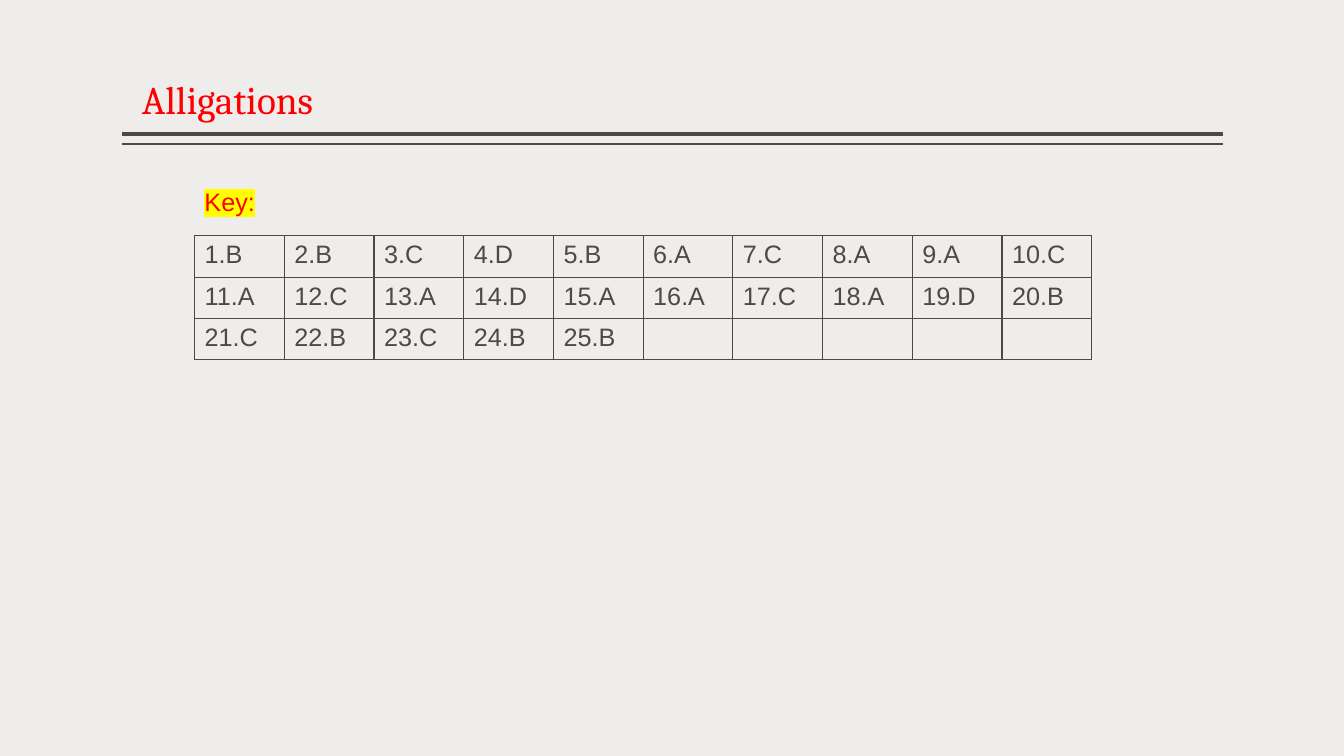
"""Build the Alligations answer key slide."""
from dataclasses import dataclass

from lxml import etree
from pptx import Presentation
from pptx.dml.color import RGBColor
from pptx.enum import shapes, text
from pptx.oxml import ns
from pptx.util import Inches, Pt

INK = "514843"
RED = "FF0000"
PAPER = "EEEDEC"
YELLOW = "FFFF00"
ANSWERS = "BBCDBACAAC" "ACADAACADB" "CBCBB"
COLUMNS, ROWS = 10, 3
COLUMN_WIDTH, ROW_HEIGHT = 0.89, 0.41


@dataclass
class Label:
    wording: str
    left: float
    top: float
    width: float
    height: float
    size: int
    face: str
    highlight: str = ""


@dataclass
class Rule:
    top: float
    weight: float


LABELS = [
    Label("Key:", 1.93, 1.8, 1.4, 0.4, 18, "Arial", YELLOW),
    Label("Alligations", 1.31, 0.7, 6.06, 0.57, 28, "Cambria"),
]
RULES = [Rule(1.33, 3), Rule(1.43, 1)]


def color(value: str) -> RGBColor:
    return RGBColor.from_string(value)


def add_element(parent, tag: str, **attributes: str):
    return etree.SubElement(parent, ns.qn(tag), attributes)


def write(paragraph, wording: str, size: int, face: str, ink: str):
    run = paragraph.add_run()
    run.text = wording
    for name, value in {"size": Pt(size), "name": face}.items():
        setattr(run.font, name, value)
    run.font.color.rgb = color(ink)
    return run


def draw_rule(slide, rule: Rule) -> None:
    line = slide.shapes.add_connector(
        shapes.MSO_CONNECTOR.STRAIGHT,
        Inches(12.13), Inches(rule.top), Inches(1.21), Inches(rule.top))
    line.line.color.rgb = color(INK)
    line.line.width = Pt(rule.weight)
    add_element(line._element.spPr, "a:effectLst")


def draw_label(slide, label: Label) -> None:
    box = slide.shapes.add_textbox(
        Inches(label.left), Inches(label.top),
        Inches(label.width), Inches(label.height))
    frame = box.text_frame
    settings = {"word_wrap": True, "auto_size": text.MSO_AUTO_SIZE.SHAPE_TO_FIT_TEXT}
    for name, value in settings.items():
        setattr(frame, name, value)
    run = write(frame.paragraphs[0], label.wording, label.size, label.face, RED)
    if label.highlight:
        properties = run.font._element
        marker = add_element(properties, "a:highlight")
        add_element(marker, "a:srgbClr", val=label.highlight)
        properties.find(ns.qn("a:solidFill")).addnext(marker)


def outline(cell) -> None:
    properties = cell._tc.get_or_add_tcPr()
    for side in ("a:lnL", "a:lnR", "a:lnT", "a:lnB"):
        border = add_element(properties, side, w=str(Pt(1)))
        add_element(add_element(border, "a:solidFill"), "a:srgbClr", val=INK)


def draw_answers(slide) -> None:
    key = slide.shapes.add_table(
        ROWS, COLUMNS, Inches(1.93), Inches(2.34),
        Inches(COLUMN_WIDTH * COLUMNS), Inches(ROW_HEIGHT * ROWS)).table
    for name in ("first_row", "horz_banding"):
        setattr(key, name, False)
    for column in key.columns:
        column.width = Inches(COLUMN_WIDTH)
    for row in key.rows:
        row.height = Inches(ROW_HEIGHT)
    for index, cell in enumerate(key.iter_cells()):
        outline(cell)
        cell.fill.background()
        if index < len(ANSWERS):
            write(cell.text_frame.paragraphs[0],
                  f"{index + 1}.{ANSWERS[index]}", 18, "Arial", INK)


def main() -> None:
    deck = Presentation()
    deck.slide_width, deck.slide_height = Inches(13.33), Inches(7.5)
    slide = deck.slides.add_slide(deck.slide_layouts[6])
    slide.background.fill.solid()
    slide.background.fill.fore_color.rgb = color(PAPER)
    for rule in RULES:
        draw_rule(slide, rule)
    draw_answers(slide)
    for label in LABELS:
        draw_label(slide, label)
    deck.save("out.pptx")


if __name__ == "__main__":
    main()
